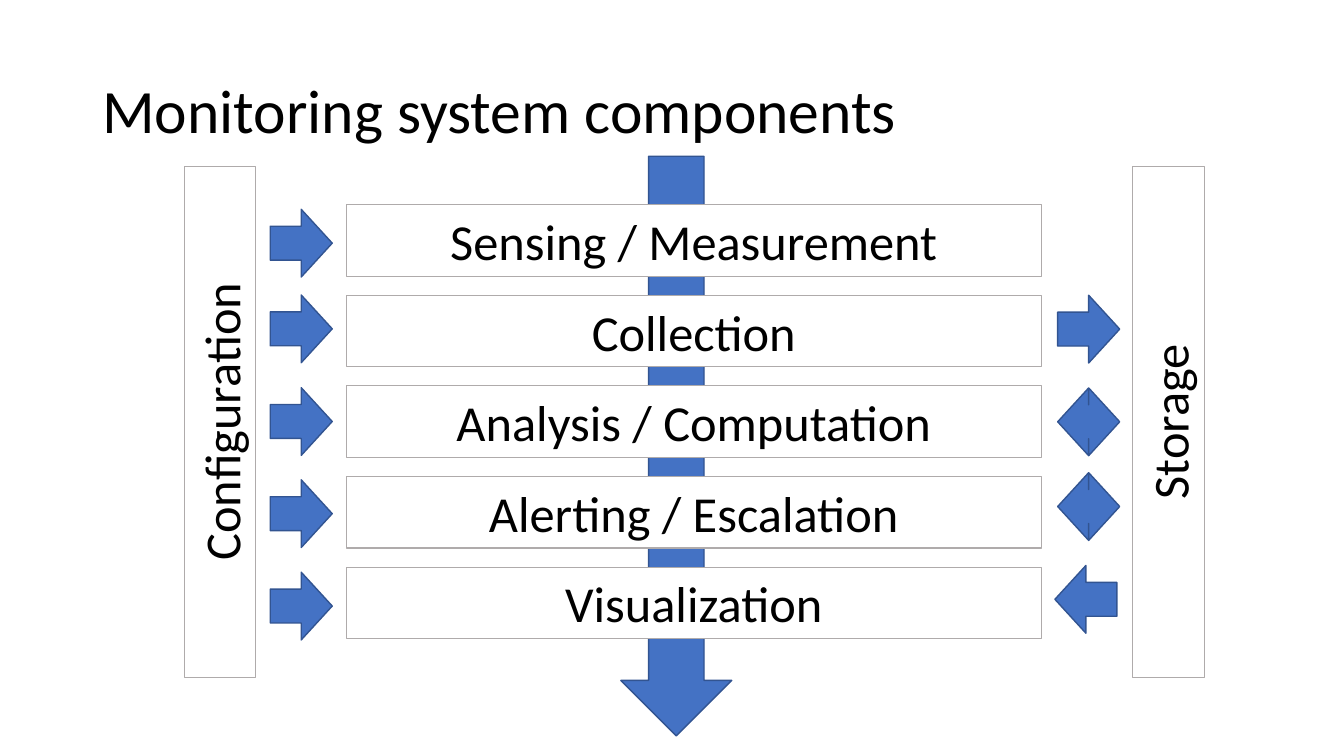
"""Build the slide that shows the components of a monitoring system."""
from dataclasses import dataclass

from pptx import Presentation
from pptx.dml.color import RGBColor
from pptx.enum.shapes import MSO_SHAPE as Shape
from pptx.enum.text import MSO_ANCHOR as Anchor, MSO_AUTO_SIZE as AutoSize, PP_ALIGN as Align
from pptx.util import Pt


@dataclass(frozen=True)
class Theme:
    """Colours, font and type sizes of the slide."""
    font: str = "Calibri"
    title_size: float = 44
    label_size: float = 36
    ink: RGBColor = RGBColor(0, 0, 0)
    paper: RGBColor = RGBColor(255, 255, 255)
    border: RGBColor = RGBColor(0xAF, 0xAB, 0xAB)
    flow: RGBColor = RGBColor(0x44, 0x72, 0xC4)
    flow_edge: RGBColor = RGBColor(0x32, 0x54, 0x91)


@dataclass(frozen=True)
class Box:
    """A rectangle in points."""
    left: float
    top: float
    width: float
    height: float

    def inner(self, left, top, width, height):
        """Return a box placed relative to this one."""
        return Box(self.left + left, self.top + top, width, height)

    def lengths(self):
        """Return left, top, width and height as lengths."""
        return Pt(self.left), Pt(self.top), Pt(self.width), Pt(self.height)


THEME = Theme()
STAGES = ["Sensing / Measurement", "Collection", "Analysis / Computation",
          "Alerting / Escalation", "Visualization"]
STAGE_HEIGHT = 51.12
STAGE_PITCH = 64.65
ARROW_SIZE = (44.3, 48.4)
CONFIGURATION_ARROWS = [(Shape.RIGHT_ARROW, 0, top) for top in (0, 61.2, 127.4, 193.2, 259.2)]
STORAGE_ARROWS = [(Shape.RIGHT_ARROW, 2, 0), (Shape.LEFT_RIGHT_ARROW, 2, 66.2),
                  (Shape.LEFT_RIGHT_ARROW, 2, 126.7), (Shape.LEFT_ARROW, 0, 193)]


def write(frame, words, size):
    """Put one line of text in a frame and return its paragraph."""
    frame.word_wrap = True
    frame.vertical_anchor = Anchor.MIDDLE
    paragraph = frame.paragraphs[0]
    paragraph.text = words
    paragraph.font.name = THEME.font
    paragraph.font.size = Pt(size)
    paragraph.font.color.rgb = THEME.ink
    return paragraph


def add_title(slide, box):
    """Write the slide title."""
    frame = slide.shapes.add_textbox(*box.lengths()).text_frame
    title = write(frame, "Monitoring system components", THEME.title_size)
    title.line_spacing = 0.9


def add_arrow(slide, box, direction):
    """Draw one block arrow that fills the box."""
    arrow = slide.shapes.add_shape(direction, *box.lengths())
    arrow.shadow.inherit = False
    arrow.fill.solid()
    arrow.fill.fore_color.rgb = THEME.flow
    arrow.line.color.rgb = THEME.flow_edge
    arrow.line.width = Pt(1)


def add_component(slide, box, name):
    """Draw one outlined component with a centred name."""
    component = slide.shapes.add_shape(Shape.RECTANGLE, *box.lengths())
    component.shadow.inherit = False
    component.fill.solid()
    component.fill.fore_color.rgb = THEME.paper
    component.line.color.rgb = THEME.border
    component.line.width = Pt(0.75)
    label = write(component.text_frame, name, THEME.label_size)
    label.alignment = Align.CENTER
    component.text_frame.auto_size = AutoSize.SHAPE_TO_FIT_TEXT
    return component, label


def add_pillar(slide, box, name):
    """Draw an upright component whose name reads from bottom to top."""
    shift = (box.width - box.height) / 2
    lying = box.inner(shift, -shift, box.height, box.width)
    pillar, label = add_component(slide, lying, name)
    pillar.rotation = 270
    pillar.fill.background()
    label.space_before = label.space_after = Pt(12)


def add_stages(slide, box):
    """Stack the processing stages at an equal pitch."""
    for row, stage in enumerate(STAGES):
        add_component(slide, box.inner(0, row * STAGE_PITCH, box.width, STAGE_HEIGHT), stage)


def add_links(slide, box, links):
    """Draw the column of arrows between a pillar and the stages."""
    for direction, left, top in links:
        add_arrow(slide, box.inner(left, top, *ARROW_SIZE), direction)


def add_monitoring_slide(slide, box):
    """Place every part of the monitoring diagram."""
    add_arrow(slide, box.inner(443.5, 111.6, 79.2, 414), Shape.DOWN_ARROW)
    add_title(slide, box.inner(66, 28.8, 828, 104.4))
    add_pillar(slide, box.inner(131.7, 118.6, STAGE_HEIGHT, 365), "Configuration")
    add_pillar(slide, box.inner(809.1, 118.6, STAGE_HEIGHT, 365), "Storage")
    add_stages(slide, box.inner(247.2, 146.4, 496.8, 310))
    add_links(slide, box.inner(193, 149.5, 44.3, 308), CONFIGURATION_ARROWS)
    add_links(slide, box.inner(753.5, 210.9, 46.3, 242), STORAGE_ARROWS)


def main():
    """Create and save the presentation."""
    deck = Presentation()
    deck.slide_width, deck.slide_height = Pt(960), Pt(540)
    slide = deck.slides.add_slide(deck.slide_layouts[6])
    add_monitoring_slide(slide, Box(0, 0, 960, 540))
    deck.save("out.pptx")


main()
